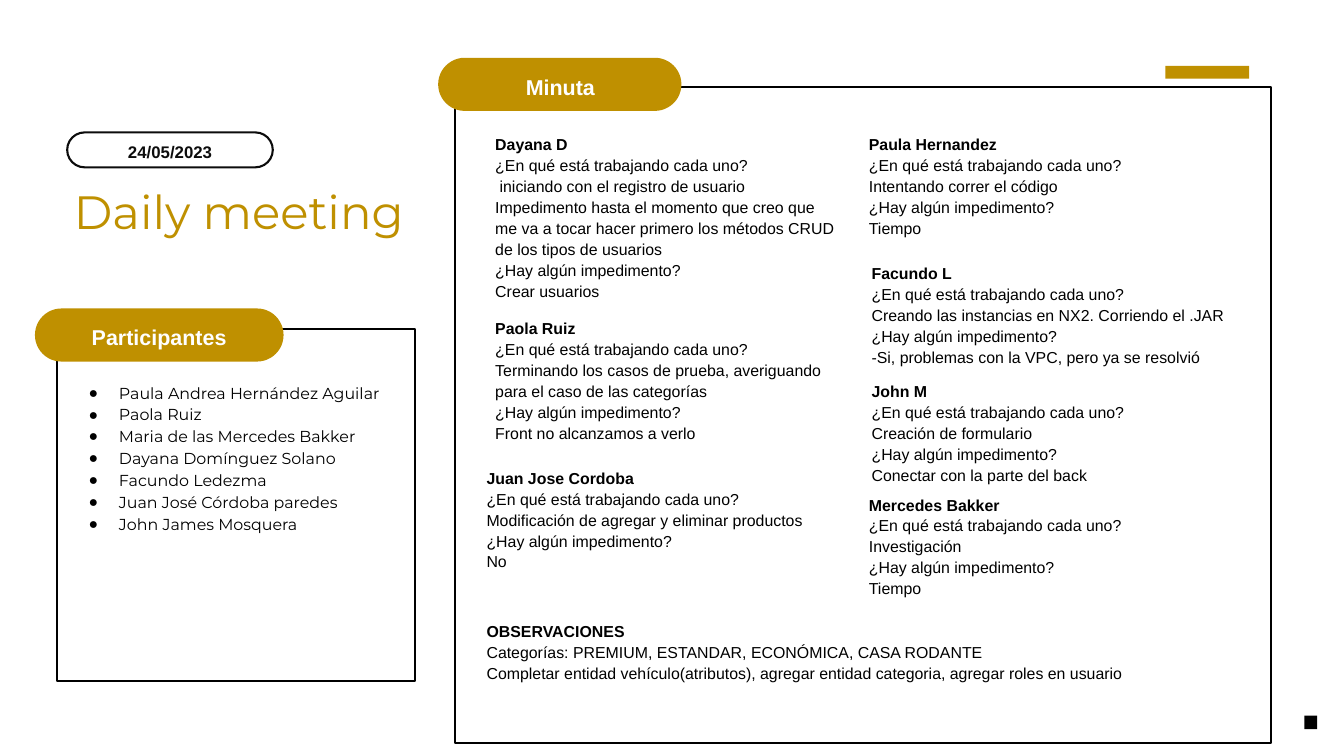
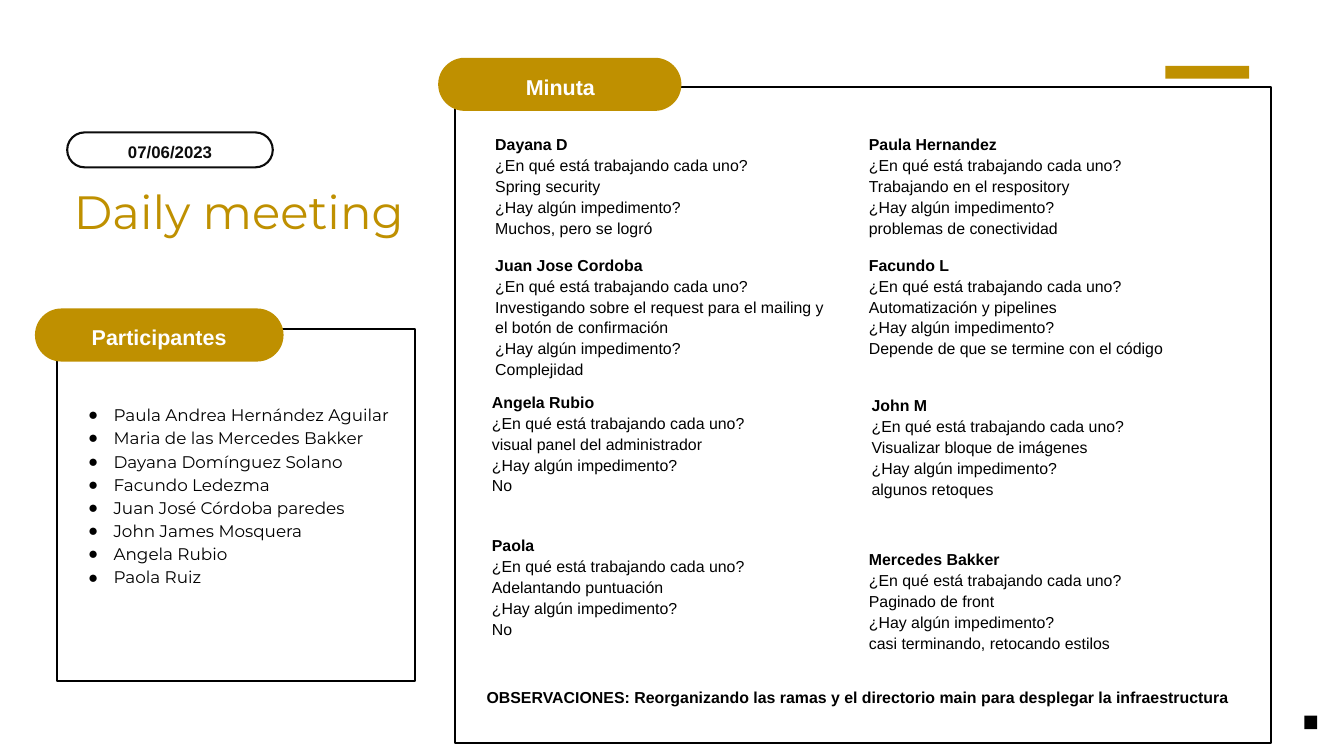
"""Builds two daily meeting slides with participants and minutes."""
from lxml import etree
from pptx import Presentation
from pptx.dml.color import RGBColor
from pptx.enum.shapes import MSO_SHAPE
from pptx.enum.text import MSO_ANCHOR, MSO_AUTO_SIZE, PP_ALIGN
from pptx.oxml.ns import qn
from pptx.util import Inches, Pt

GOLD, BLACK, INK, WHITE = "BF9000", "000000", "0C0C0C", "FFFFFF"
SANS, DISPLAY = "Arial", "Montserrat"
FRAME, PILL, BAR = MSO_SHAPE.ROUND_2_SAME_RECTANGLE, MSO_SHAPE.ROUNDED_RECTANGLE, MSO_SHAPE.RECTANGLE
LEFT, CENTER = PP_ALIGN.LEFT, PP_ALIGN.CENTER
TOP, MIDDLE = MSO_ANCHOR.TOP, MSO_ANCHOR.MIDDLE
NO_FIT = MSO_AUTO_SIZE.NONE
WORK_QUESTION = "¿En qué está trabajando cada uno?"
OBSTACLE_QUESTION = "¿Hay algún impedimento?"
colour = RGBColor.from_string

MEETINGS = [
    {
        "date": "24/05/2023",
        "list_place": (1.27, 5.66, 4.65, 3.86),
        "list_size": 17,
        "hanging": 0.45,
        "participants": [
            "Paula Andrea Hernández Aguilar",
            "Paola Ruiz",
            "Maria de las Mercedes Bakker",
            "Dayana Domínguez Solano",
            "Facundo Ledezma",
            "Juan José Córdoba paredes",
            "John James Mosquera",
        ],
        "minutes": [
            (7.37, 1.98, 5.14, 2.49, "Dayana D",
             " iniciando con el registro de usuario\nImpedimento hasta el momento que creo que "
             "me va a tocar hacer primero los métodos CRUD de los tipos de usuarios",
             "Crear usuarios"),
            (7.37, 4.72, 5.14, 1.86, "Paola Ruiz",
             "Terminando los casos de prueba, averiguando para el caso de las categorías",
             "Front no alcanzamos a verlo"),
            (7.24, 6.94, 5.26, 1.55, "Juan Jose Cordoba",
             "Modificación de agregar y eliminar productos", "No"),
            (12.93, 1.98, 6.03, 1.55, "Paula Hernandez", "Intentando correr el código", "Tiempo"),
            (12.97, 3.89, 5.94, 1.55, "Facundo L",
             "Creando las instancias en NX2. Corriendo el .JAR",
             "-Si, problemas con la VPC, pero ya se resolvió"),
            (12.97, 5.65, 5.94, 1.55, "John M",
             "Creación de formulario", "Conectar con la parte del back"),
            (12.93, 7.34, 5.26, 1.55, "Mercedes Bakker", "Investigación", "Tiempo"),
        ],
        "observations_place": (7.24, 9.22, 11.35, 0.92),
        "observations": "OBSERVACIONES\n"
                        "Categorías: PREMIUM, ESTANDAR, ECONÓMICA, CASA RODANTE\n"
                        "Completar entidad vehículo(atributos), agregar entidad categoria, "
                        "agregar roles en usuario",
    },
    {
        "date": "07/06/2023",
        "list_place": (1.19, 5.98, 4.65, 3.07),
        "list_size": 18,
        "hanging": 0.38,
        "participants": [
            "Paula Andrea Hernández Aguilar",
            "Maria de las Mercedes Bakker",
            "Dayana Domínguez Solano",
            "Facundo Ledezma",
            "Juan José Córdoba paredes",
            "John James Mosquera",
            "Angela Rubio",
            "Paola Ruiz",
        ],
        "minutes": [
            (7.37, 1.98, 5.14, 1.55, "Dayana D", "Spring security", "Muchos, pero se logró"),
            (7.37, 3.77, 4.94, 1.86, "Juan Jose Cordoba",
             "Investigando sobre el request para el mailing y el botón de confirmación",
             "Complejidad"),
            (7.32, 5.81, 5.26, 1.86, "Angela Rubio", "visual panel del administrador", "No"),
            (7.32, 7.94, 5.26, 1.55, "Paola", "Adelantando puntuación", "No"),
            (12.93, 1.98, 6.03, 1.55, "Paula Hernandez",
             "Trabajando en el respository", "problemas de conectividad"),
            (12.93, 3.77, 5.94, 1.55, "Facundo L",
             "Automatización y pipelines", "Depende de que se termine con el código"),
            (12.97, 5.86, 5.55, 1.55, "John M", "Visualizar bloque de imágenes", "algunos retoques"),
            (12.93, 8.15, 5.26, 1.55, "Mercedes Bakker",
             "Paginado de front", "casi terminando, retocando estilos"),
        ],
        "observations_place": (7.24, 10.2, 11.35, 0.29),
        "observations": "OBSERVACIONES: Reorganizando las ramas y el directorio main "
                        "para desplegar la infraestructura",
    },
]


def add_panel(page, kind, place, fill=None, line=None, corners=()):
    """Add a preset shape with an optional fill and outline."""
    panel = page.shapes.add_shape(kind, *map(Inches, place))
    panel.shadow.inherit = False
    for index, corner in enumerate(corners):
        panel.adjustments[index] = corner
    if fill:
        panel.fill.solid()
        panel.fill.fore_color.rgb = colour(fill)
    else:
        panel.fill.background()
    if line:
        panel.line.color.rgb = colour(line)
        panel.line.width = Pt(2.25)
    else:
        panel.line.fill.background()


def write_text(page, text, place, box=None, size=17, font=SANS, color=BLACK, bold_lines=0,
               align=LEFT, spacing=1.1, anchor=TOP, inset=0):
    """Write one paragraph per line into a placed box or a new text box."""
    left, top, width, height = map(Inches, place)
    box = box or page.shapes.add_textbox(left, top, width, height)
    box.left, box.top, box.width, box.height = left, top, width, height
    frame = box.text_frame
    frame.word_wrap, frame.auto_size, frame.vertical_anchor = True, NO_FIT, anchor
    frame.margin_left = frame.margin_right = Inches(inset)
    frame.margin_top = frame.margin_bottom = Inches(inset)
    frame.text = text
    for number, para in enumerate(frame.paragraphs):
        para.alignment, para.line_spacing, para.space_before = align, spacing, Pt(0)
        for span in para.runs:
            span.font.name, span.font.size = font, Pt(size)
            span.font.bold = number < bold_lines
            span.font.color.rgb = colour(color)
    return frame


deck = Presentation()
deck.slide_width, deck.slide_height = Inches(20), Inches(11.25)

for meeting in MEETINGS:
    page = deck.slides.add_slide(deck.slide_layouts[1])
    title, body = page.placeholders

    add_panel(page, BAR, (19.41, 10.65, 0.19, 0.2), fill=BLACK)
    add_panel(page, BAR, (17.34, 0.98, 1.25, 0.19), fill=GOLD)
    write_text(page, "Daily meeting", (1, 2.72, 5.33, 0.84), box=title, size=50, font=DISPLAY,
               color=GOLD, spacing=1.0, anchor=MIDDLE, inset=0.1)
    add_panel(page, PILL, (1, 1.97, 3.06, 0.52), fill=WHITE, line=INK, corners=[0.5])
    write_text(page, meeting["date"], (1.17, 1.98, 2.72, 0.5), size=18, color=INK,
               bold_lines=1, align=CENTER, inset=0.1)

    for heading, frame_place, pill_place, heading_place in [
        ("Participantes", (0.85, 4.89, 5.33, 5.24), (0.52, 4.59, 3.7, 0.79), (1.07, 4.79, 2.6, 0.39)),
        ("Minuta", (6.77, 1.3, 12.14, 9.75), (6.52, 0.86, 3.62, 0.79), (7.04, 1.07, 2.6, 0.39)),
    ]:
        add_panel(page, FRAME, frame_place, line=BLACK, corners=[0, 0])
        add_panel(page, PILL, pill_place, fill=GOLD, corners=[0.5])
        write_text(page, heading, heading_place, size=23, color=WHITE, bold_lines=1, align=CENTER)

    names = write_text(page, "\n".join(meeting["participants"]), meeting["list_place"], box=body,
                       size=meeting["list_size"], font=DISPLAY, spacing=1.15)
    for para in names.paragraphs:
        properties = para._p.get_or_add_pPr()
        properties.set("marL", str(Inches(0.5)))
        properties.set("indent", str(-Inches(meeting["hanging"])))
        bullet_colour = etree.SubElement(properties, qn("a:buClr"))
        etree.SubElement(bullet_colour, qn("a:srgbClr"), val=BLACK)
        etree.SubElement(properties, qn("a:buChar"), char="●")

    for *place, person, work, obstacle in meeting["minutes"]:
        lines = [person, WORK_QUESTION, work, OBSTACLE_QUESTION, obstacle]
        write_text(page, "\n".join(lines), place, bold_lines=1)
    write_text(page, meeting["observations"], meeting["observations_place"], bold_lines=1)

deck.save("out.pptx")
